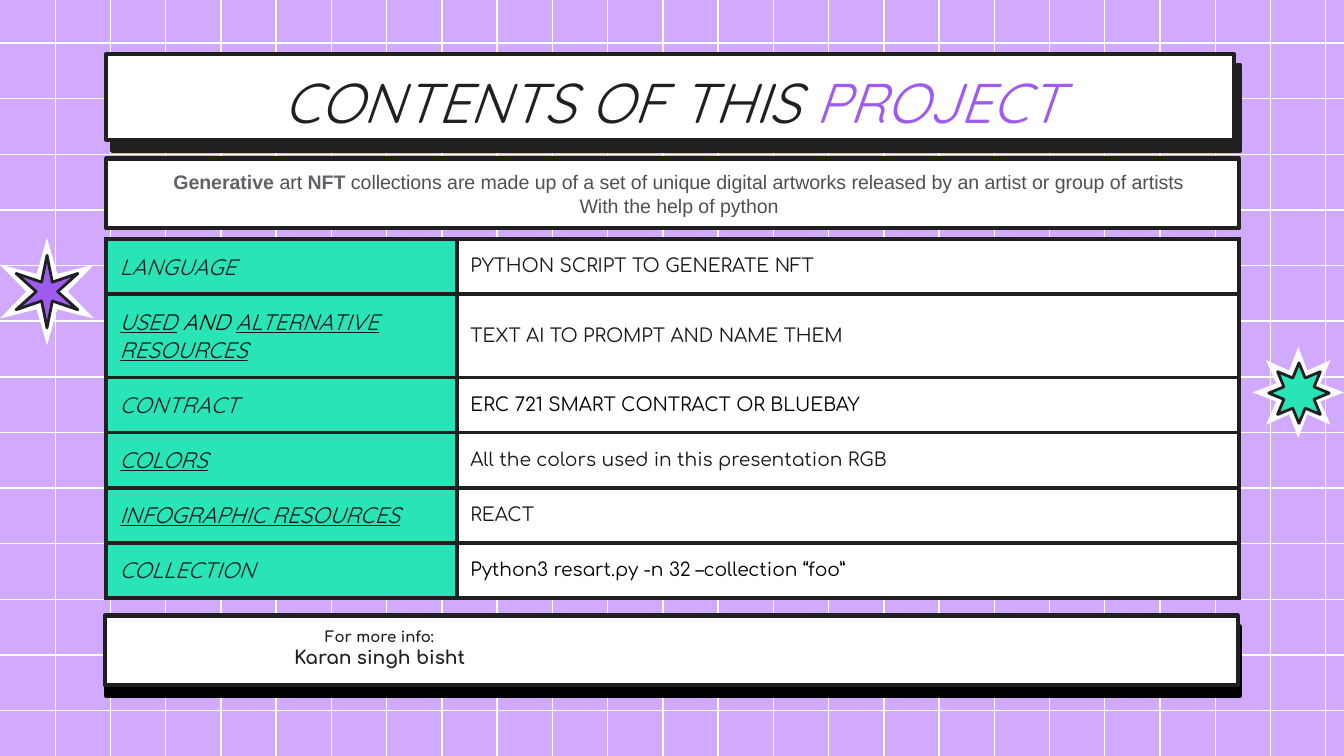
from dataclasses import dataclass

from lxml.etree import SubElement
from pptx import Presentation
from pptx.dml.color import RGBColor
from pptx.enum.shapes import MSO_CONNECTOR, MSO_SHAPE
from pptx.enum.text import MSO_ANCHOR, PP_ALIGN
from pptx.oxml.ns import qn
from pptx.util import Inches, Pt

WIDTH, HEIGHT = Inches(10), Inches(5.625)
LILAC = RGBColor(0xD1, 0xAA, 0xFD)
PURPLE = RGBColor(0x9E, 0x5B, 0xEE)
MINT = RGBColor(0x28, 0xE4, 0xB7)
WHITE = RGBColor(0xFF, 0xFF, 0xFF)
OFF_WHITE = RGBColor(0xFC, 0xFC, 0xFC)
BLACK = RGBColor(0x00, 0x00, 0x00)
INK = RGBColor(0x20, 0x20, 0x20)
LINK = RGBColor(0x19, 0x19, 0x19)
GREY = RGBColor(0x4D, 0x51, 0x56)
STRONG_GREY = RGBColor(0x5F, 0x63, 0x68)
HEADING, BODY, PLAIN = "Quicksand", "Comfortaa", "Arial"
LEFT, SPAN = 7.9, 84.3
BORDER = Pt(2.25)
ROW, TALL_ROW = 7.29, 11.02


@dataclass
class Words:
    text: str
    size: float
    font: str
    color: RGBColor
    bold: bool = False
    italic: bool = False
    underline: bool = False


def label(text, color=INK, underline=False):
    return Words(text, 12, HEADING, color, italic=True, underline=underline)


def link(text):
    return label(text, LINK, True)


def detail(text, color=LINK):
    return Words(text, 10, BODY, color)


def across(percent):
    return round(WIDTH * percent / 100)


def down(percent):
    return round(HEIGHT * percent / 100)


def area(left, top, width, height):
    return across(left), down(top), across(width), down(height)


def write(paragraph, words):
    run = paragraph.add_run()
    run.text = words.text
    font = run.font
    font.name, font.size = words.font, Pt(words.size)
    font.color.rgb = words.color
    font.bold, font.italic, font.underline = words.bold, words.italic, words.underline


def set_insets(frame, right=0.1):
    frame.margin_left = frame.margin_top = frame.margin_bottom = Inches(0.1)
    frame.margin_right = Inches(right)


def write_centred(frame, lines, anchor=MSO_ANCHOR.TOP, right=0.1):
    frame.word_wrap = True
    frame.vertical_anchor = anchor
    set_insets(frame, right)
    for index, line in enumerate(lines):
        paragraph = frame.add_paragraph() if index else frame.paragraphs[0]
        paragraph.alignment = PP_ALIGN.CENTER
        for words in line:
            write(paragraph, words)


def add_grid_line(slide, start, end):
    grid_line = slide.shapes.add_connector(MSO_CONNECTOR.STRAIGHT, *start, *end)
    grid_line.line.color.rgb = WHITE
    grid_line.line.width = Pt(0.75)
    SubElement(grid_line._element.spPr, qn("a:effectLst"))


def add_grid(slide):
    for row in range(13):
        y = down(5.69 + 7.36 * row)
        add_grid_line(slide, (0, y), (WIDTH, y))
    for column in range(1, 25):
        x = across(4.11 * column)
        add_grid_line(slide, (x, 0), (x, HEIGHT))


def add_figure(slide, preset, place, fill, outline=None):
    figure = slide.shapes.add_shape(preset, *area(*place))
    figure.shadow.inherit = False
    figure.fill.solid()
    figure.fill.fore_color.rgb = fill
    if outline is None:
        figure.line.fill.background()
    else:
        figure.line.color.rgb = INK
        figure.line.width = outline
    return figure


def add_panel(slide, place):
    return add_figure(slide, MSO_SHAPE.RECTANGLE, place, WHITE, BORDER)


def cast_shadow(panel, color, distance, angle):
    effects = panel._element.spPr.find(qn("a:effectLst"))
    shadow = SubElement(effects, qn("a:outerShdw"), blurRad="0", dist=str(Pt(distance)),
                        dir=str(angle * 60000), algn="bl", rotWithShape="0")
    SubElement(shadow, qn("a:srgbClr"), val=str(color))


def add_star(slide, preset, place, depth, fill, outline=None):
    star = add_figure(slide, preset, place, fill, outline)
    star.adjustments[0] = depth


def add_caption(slide, place):
    return slide.shapes.add_textbox(*area(*place)).text_frame


def fill_cell(cell, runs, fill):
    set_insets(cell)
    cell.vertical_anchor = MSO_ANCHOR.MIDDLE
    properties = cell._tc.get_or_add_tcPr()
    for side in ("lnL", "lnR", "lnT", "lnB"):
        edge = SubElement(properties, qn(f"a:{side}"), w=str(BORDER))
        paint = SubElement(edge, qn("a:solidFill"))
        SubElement(paint, qn("a:srgbClr"), val=str(INK))
    cell.fill.solid()
    cell.fill.fore_color.rgb = fill
    for words in runs:
        write(cell.text_frame.paragraphs[0], words)


def add_contents(slide, entries):
    heights = [TALL_ROW if len(topic) > 1 else ROW for topic, _ in entries]
    place = area(LEFT, 31.64, SPAN, sum(heights))
    table = slide.shapes.add_table(len(entries), 2, *place).table
    table.first_row = table.horz_banding = False
    for column, width in zip(table.columns, (26.1, 58.2)):
        column.width = across(width)
    for row, height, (topic, description) in zip(table.rows, heights, entries):
        row.height = down(height)
        fill_cell(row.cells[0], topic, MINT)
        fill_cell(row.cells[1], [description], WHITE)


def add_title(slide):
    banner = add_panel(slide, (LEFT, 7.11, 83.9, 11.38))
    cast_shadow(banner, INK, 6.8, 60)
    title = [Words("CONTENTS OF THIS ", 30, HEADING, INK, italic=True),
             Words("PROJECT", 30, HEADING, PURPLE, italic=True)]
    write_centred(add_caption(slide, (LEFT, 7.11, SPAN, 11.2)), [title])


def add_summary(slide):
    def strong(text):
        return Words(text, 10.5, PLAIN, STRONG_GREY, bold=True)

    def plain(text):
        return Words(text, 10.5, PLAIN, GREY)

    summary = [
        [strong("Generative"), plain(" art "), strong("NFT"),
         plain(" collections are made up of a set of unique digital artworks "
               "released by an artist or group of artists")],
        [plain("With the help of python")],
    ]
    panel = add_panel(slide, (LEFT, 20.98, SPAN, 9.24))
    write_centred(panel.text_frame, summary, MSO_ANCHOR.MIDDLE, right=0)


def add_contact(slide):
    cast_shadow(add_panel(slide, (7.8, 81.42, SPAN, 9.24)), BLACK, 6, 81)
    frame = add_caption(slide, (9.6, 81.24, 37.3, 8.89))
    write_centred(frame, [[Words("For more info:", 8, BODY, INK, bold=True)]])
    frame.paragraphs[0].add_line_break()
    write(frame.paragraphs[0], Words("Karan singh bisht", 10, BODY, INK, bold=True))


def main():
    deck = Presentation()
    deck.slide_width, deck.slide_height = WIDTH, HEIGHT
    slide = deck.slides.add_slide(deck.slide_layouts[6])
    slide.background.fill.solid()
    slide.background.fill.fore_color.rgb = LILAC
    add_grid(slide)
    add_title(slide)
    add_summary(slide)
    add_contents(slide, [
        ([label("LANGUAGE")], detail("PYTHON SCRIPT TO GENERATE NFT")),
        ([link("USED"), label(" AND ", BLACK), link("ALTERNATIVE RESOURCES")],
         detail("TEXT AI TO PROMPT AND NAME THEM")),
        ([label("CONTRACT")], detail("ERC 721 SMART CONTRACT OR BLUEBAY", BLACK)),
        ([link("COLORS")], detail("All the colors used in this presentation RGB")),
        ([link("INFOGRAPHIC RESOURCES")], detail("REACT")),
        ([label("COLLECTION")], detail("Python3 resart.py -n 32 –collection “foo”", BLACK)),
    ])
    add_contact(slide)
    eight, six = MSO_SHAPE.STAR_8_POINT, MSO_SHAPE.STAR_6_POINT
    add_star(slide, eight, (93.2, 45.87, 6.8, 12.09), 0.26, OFF_WHITE)
    add_star(slide, eight, (94.4, 48, 4.5, 8), 0.27, MINT, Pt(1.5))
    add_star(slide, six, (0, 31.47, 7, 14.22), 0.19, WHITE)
    add_star(slide, six, (1.2, 33.78, 4.6, 9.6), 0.15, PURPLE, Pt(1.5))
    deck.save("out.pptx")


if __name__ == "__main__":
    main()
